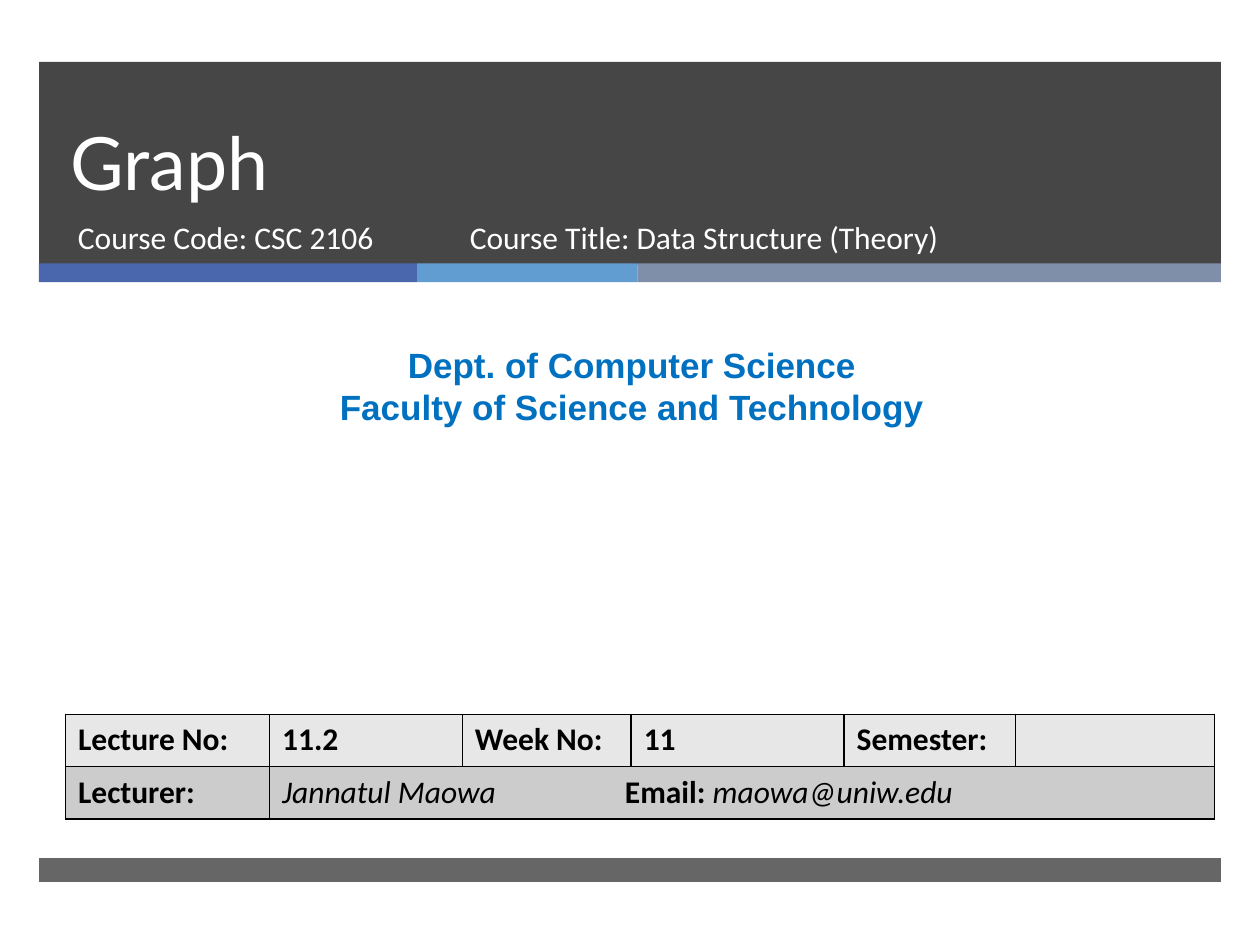
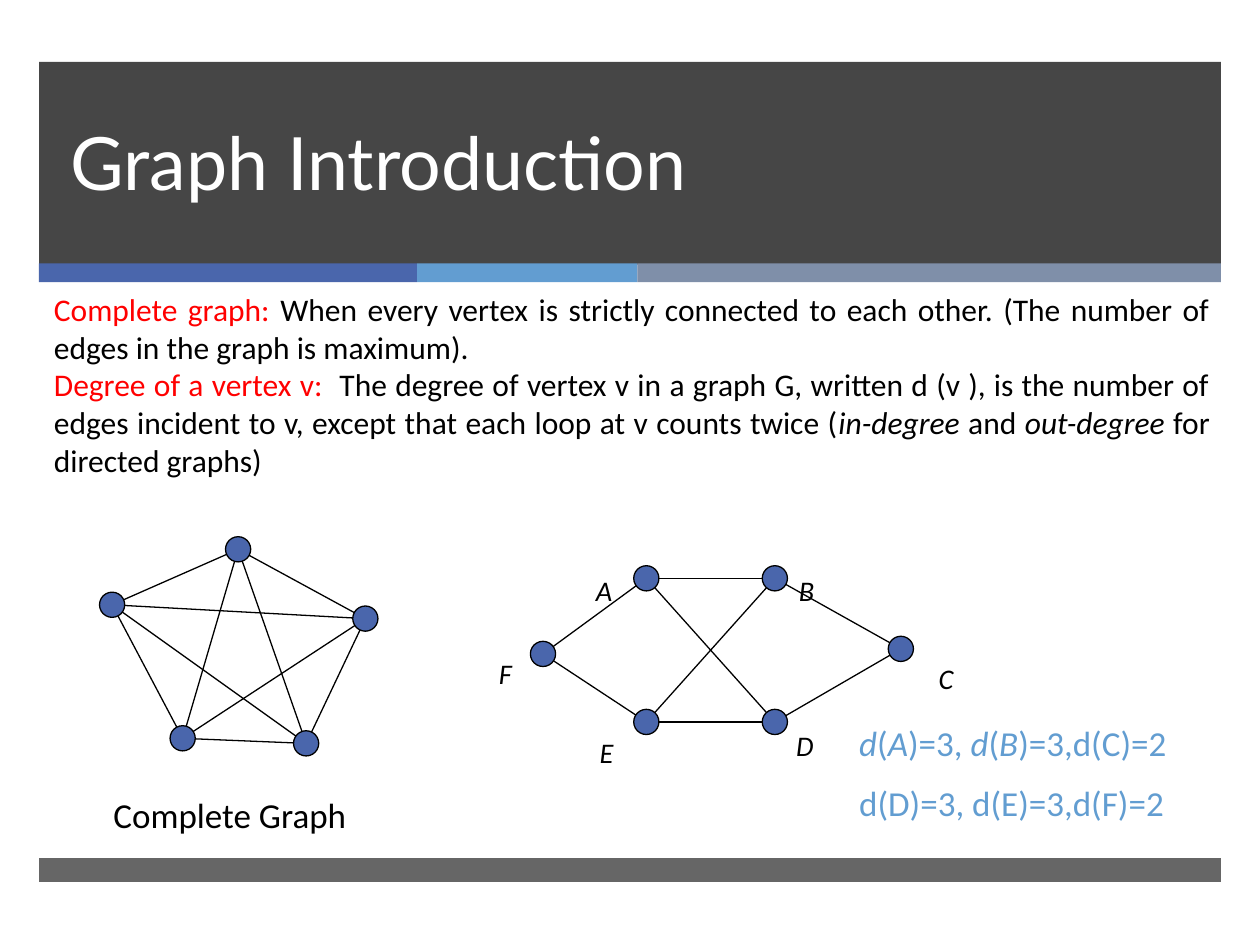
"""Two lecture slides on graphs: a course cover and an introduction page."""
from dataclasses import dataclass
from itertools import combinations

from lxml.etree import SubElement
from pptx import Presentation
from pptx.dml.color import RGBColor
from pptx.enum.shapes import MSO_CONNECTOR as Connector, MSO_SHAPE as Preset
from pptx.enum.text import MSO_ANCHOR as Anchor, MSO_AUTO_SIZE as AutoSize, PP_ALIGN as Align
from pptx.oxml.ns import qn
from pptx.util import Inches, Pt


@dataclass(frozen=True)
class Theme:
    """Colours, fonts and type sizes of the deck."""
    dark: str = "262626"
    blue: str = "4A66AC"
    sky: str = "629DD1"
    slate: str = "7F8FA9"
    white: str = "FFFFFF"
    black: str = "000000"
    red: str = "FF0000"
    department: str = "0070C0"
    light_row: str = "E7E7E7"
    dark_row: str = "CCCCCC"
    title_font: str = "Lato"
    body_font: str = "Calibri"
    department_font: str = "Arial"
    title_size: float = 42
    body_size: float = 18
    large_size: float = 20
    label_size: float = 28
    line_width: float = 0.75


@dataclass(frozen=True)
class Area:
    """A rectangle in inches."""
    left: float
    top: float
    width: float
    height: float

    def lengths(self) -> tuple:
        """Return the rectangle as python-pptx lengths."""
        return tuple(Inches(v) for v in (self.left, self.top, self.width, self.height))


@dataclass(frozen=True)
class Band:
    """A plain coloured bar; opacity is in percent."""
    area: Area
    color: str
    opacity: int = 100


@dataclass(frozen=True)
class Span:
    """A stretch of text; None leaves a property to the paragraph."""
    text: str
    color: str | None = None
    bold: bool | None = None
    italic: bool | None = None


@dataclass(frozen=True)
class Style:
    """Paragraph formatting."""
    size: float
    color: str
    font: str
    bold: bool = False
    italic: bool = False
    align: Align = Align.LEFT
    before: float = 0
    baseline: int = 0


@dataclass(frozen=True)
class Vertex:
    """A graph vertex: centre of its dot and, if named, the corner of its label."""
    x: float
    y: float
    name: str = ""
    label_at: tuple[float, float] = (0, 0)


THEME = Theme()
BODY = Style(THEME.body_size, THEME.black, THEME.body_font)
SUBTITLE = Style(THEME.body_size, THEME.white, THEME.body_font)
TITLE = Style(THEME.title_size, THEME.white, THEME.title_font)
DEPARTMENT = Style(THEME.large_size, THEME.department, THEME.department_font, bold=True, align=Align.CENTER)
DEFINITION = Style(THEME.body_size, THEME.black, THEME.body_font, align=Align.JUSTIFY)
CAPTION = Style(THEME.large_size, THEME.black, THEME.body_font)
DEGREES = Style(THEME.large_size, THEME.sky, THEME.body_font, before=10)
LABEL = Style(THEME.label_size, THEME.black, THEME.body_font, italic=True, baseline=-16000)

DOT = 0.2
LABEL_WIDTH, LABEL_HEIGHT = 0.47, 0.43
PLAIN_INSET, WIDE_INSET = (0.1, 0.05), (0.11, 0.06)
BANDS = [
    Band(Area(0.31, 0.49, 9.38, 1.61), THEME.dark, 85),
    Band(Area(0.31, 2.09, 3, 0.15), THEME.blue),
    Band(Area(3.31, 2.09, 1.75, 0.15), THEME.sky),
    Band(Area(5.06, 2.09, 4.63, 0.15), THEME.slate),
    Band(Area(0.31, 6.81, 9.38, 0.19), THEME.dark, 70),
]
TITLE_AREA = Area(0.46, 0.49, 8.54, 1.19)


def rgb(color: str) -> RGBColor:
    """Turn a hex string into a colour."""
    return RGBColor.from_string(color)


def write_para(para, spans: list[Span], style: Style) -> None:
    """Fill a paragraph with spans in one style."""
    para.alignment = style.align
    para.space_before = Pt(style.before)
    font = para.font
    font.size, font.name = Pt(style.size), style.font
    font.bold, font.italic = style.bold, style.italic
    font.color.rgb = rgb(style.color)
    for span in spans:
        run = para.add_run()
        run.text = span.text
        if span.color:
            run.font.color.rgb = rgb(span.color)
        if span.bold is not None:
            run.font.bold = span.bold
        if span.italic is not None:
            run.font.italic = span.italic
        if style.baseline:
            run._r.get_or_add_rPr().set("baseline", str(style.baseline))


def add_text(page, area: Area, lines: list[list[Span]], style: Style, inset=PLAIN_INSET) -> None:
    """Add a wrapping text box with one paragraph per line."""
    frame = page.shapes.add_textbox(*area.lengths()).text_frame
    frame.word_wrap = True
    frame.margin_left = frame.margin_right = Inches(inset[0])
    frame.margin_top = frame.margin_bottom = Inches(inset[1])
    for index, spans in enumerate(lines):
        para = frame.add_paragraph() if index else frame.paragraphs[0]
        write_para(para, spans, style)


def add_band(page, band: Band) -> None:
    """Draw a bar without outline."""
    bar = page.shapes.add_shape(Preset.RECTANGLE, *band.area.lengths())
    bar.shadow.inherit = False
    bar.fill.solid()
    bar.fill.fore_color.rgb = rgb(band.color)
    bar.line.fill.background()
    if band.opacity < 100:
        color = bar._element.spPr.find(qn("a:solidFill"))[0]
        SubElement(color, qn("a:alpha"), val=str(band.opacity * 1000))


def add_page(deck, title: str):
    """Add a slide with the shared bands and its title on top of them."""
    page = deck.slides.add_slide(deck.slide_layouts[5])
    for band in BANDS:
        add_band(page, band)
    box = page.shapes.title
    page.shapes._spTree.append(box._element)
    box.left, box.top, box.width, box.height = TITLE_AREA.lengths()
    frame = box.text_frame
    frame.word_wrap = True
    frame.auto_size = AutoSize.NONE
    frame.vertical_anchor = Anchor.BOTTOM
    write_para(frame.paragraphs[0], [Span(title)], TITLE)
    frame.paragraphs[0].line_spacing = Pt(46)
    return page


def add_edge(page, start: Vertex, end: Vertex) -> None:
    """Join the centres of two vertices."""
    points = [Inches(v) for v in (start.x, start.y, end.x, end.y)]
    edge = page.shapes.add_connector(Connector.STRAIGHT, *points)
    edge.line.color.rgb = rgb(THEME.black)
    edge.line.width = Pt(THEME.line_width)
    SubElement(edge._element.spPr, qn("a:effectLst"))


def add_vertex(page, vertex: Vertex) -> None:
    """Draw a vertex dot and its label."""
    area = Area(vertex.x - DOT / 2, vertex.y - DOT / 2, DOT, DOT)
    dot = page.shapes.add_shape(Preset.OVAL, *area.lengths())
    dot.shadow.inherit = False
    dot.fill.solid()
    dot.fill.fore_color.rgb = rgb(THEME.blue)
    dot.line.color.rgb = rgb(THEME.black)
    dot.line.width = Pt(THEME.line_width)
    if vertex.name:
        label = Area(*vertex.label_at, LABEL_WIDTH, LABEL_HEIGHT)
        add_text(page, label, [[Span(vertex.name)]], LABEL, WIDE_INSET)


def add_graph(page, vertices: list[Vertex], edges) -> None:
    """Draw the edges first so that the dots cover their ends."""
    for start, end in edges:
        add_edge(page, start, end)
    for vertex in vertices:
        add_vertex(page, vertex)


def format_cell(cell, color: str) -> None:
    """Fill a cell and give it thin black borders."""
    properties = cell._tc.get_or_add_tcPr()
    for side in ("lnL", "lnR", "lnT", "lnB"):
        border = SubElement(properties, qn(f"a:{side}"), w=str(Pt(1)))
        fill = SubElement(border, qn("a:solidFill"))
        SubElement(fill, qn("a:srgbClr"), val=THEME.black)
    cell.fill.solid()
    cell.fill.fore_color.rgb = rgb(color)


def add_lecture_table(page) -> None:
    """Add the table of lecture facts."""
    widths = [1.62, 1.53, 1.34, 1.69, 1.36, 1.58]
    area = Area(0.52, 5.67, sum(widths), 0.83)
    table = page.shapes.add_table(2, len(widths), *area.lengths()).table
    table.first_row = table.horz_banding = False
    for column, width in zip(table.columns, widths):
        column.width = Inches(width)
    for row, color in zip(table.rows, (THEME.light_row, THEME.dark_row)):
        for cell in row.cells:
            format_cell(cell, color)
    table.cell(1, 1).merge(table.cell(1, 5))
    facts = [
        ["Lecture No:", "11.2", "Week No:", "11", "Semester:"],
        ["Lecturer:"],
    ]
    for r, texts in enumerate(facts):
        for c, text in enumerate(texts):
            write_para(table.cell(r, c).text_frame.paragraphs[0], [Span(text, bold=True)], BODY)
    # An empty cell still needs the body size to keep its row low.
    write_para(table.cell(0, 5).text_frame.paragraphs[0], [], BODY)
    para = table.cell(1, 1).text_frame.paragraphs[0]
    write_para(para, [Span("Jannatul Maowa\t", italic=True), Span("Email: ", bold=True),
                      Span("maowa@uniw.edu", italic=True)], BODY)
    properties = para._p.get_or_add_pPr()
    stops = SubElement(properties, qn("a:tabLst"))
    SubElement(stops, qn("a:tab"), pos=str(Inches(2.72)), algn="l")
    properties.find(qn("a:defRPr")).addprevious(stops)


def build_cover(deck) -> None:
    """Build the course cover."""
    page = add_page(deck, "Graph")
    add_text(page, Area(0.52, 1.68, 3.05, 0.53), [[Span("Course Code: CSC 2106")]], SUBTITLE)
    add_text(page, Area(3.63, 1.68, 4.55, 0.53),
             [[Span("Course Title: Data Structure (Theory)")]], SUBTITLE)
    add_text(page, Area(0.08, 2.68, 9.87, 0.77),
             [[Span("Dept. of Computer Science")], [Span("Faculty of Science and Technology")]],
             DEPARTMENT)
    add_lecture_table(page)


def build_introduction(deck) -> None:
    """Build the page on complete graphs and vertex degrees."""
    page = add_page(deck, "Graph Introduction")
    add_text(page, Area(0.33, 2.25, 9.37, 1.62), [
        [Span("Complete graph: ", THEME.red),
         Span("When every vertex is strictly connected to each other. "
              "(The number of edges in the graph is maximum).")],
        [Span("Degree of a vertex v:  ", THEME.red),
         Span("The degree of vertex v in a graph G, written d (v ), is the number of edges "
              "incident to v, except that each loop at v counts twice ("),
         Span("in-degree", italic=True), Span(" and "),
         Span("out-degree", italic=True), Span(" for directed graphs)")],
    ], DEFINITION)

    complete = [Vertex(1.89, 4.36), Vertex(2.9, 4.91), Vertex(2.43, 5.9),
                Vertex(1.45, 5.86), Vertex(0.89, 4.8)]
    add_graph(page, complete, combinations(complete, 2))
    add_text(page, Area(0.79, 6.24, 2.07, 0.45), [[Span("Complete Graph")]], CAPTION, WIDE_INSET)

    named = [Vertex(5.13, 4.59, "A", (4.62, 4.26)), Vertex(6.15, 4.59, "B", (6.23, 4.26)),
             Vertex(7.15, 5.15, "C", (7.34, 4.96)), Vertex(6.15, 5.73, "D", (6.21, 5.49)),
             Vertex(5.13, 5.73, "E", (4.65, 5.55)), Vertex(4.31, 5.19, "F", (3.85, 4.92))]
    by_name = {vertex.name: vertex for vertex in named}
    pairs = ("AB", "BC", "CD", "DE", "EF", "FA", "AD", "BE")
    add_graph(page, named, [(by_name[a], by_name[b]) for a, b in pairs])
    add_text(page, Area(6.72, 5.68, 2.98, 0.94), [
        [Span("d", italic=True), Span("("), Span("A", italic=True), Span(")=3, "),
         Span("d", italic=True), Span("("), Span("B", italic=True), Span(")=3,d(C)=2")],
        [Span("d(D)=3, d(E)=3,d(F)=2")],
    ], DEGREES)


def main() -> None:
    """Build and save the deck."""
    deck = Presentation()
    deck.slide_width, deck.slide_height = Inches(10), Inches(7.5)
    build_cover(deck)
    build_introduction(deck)
    deck.save("out.pptx")


main()
